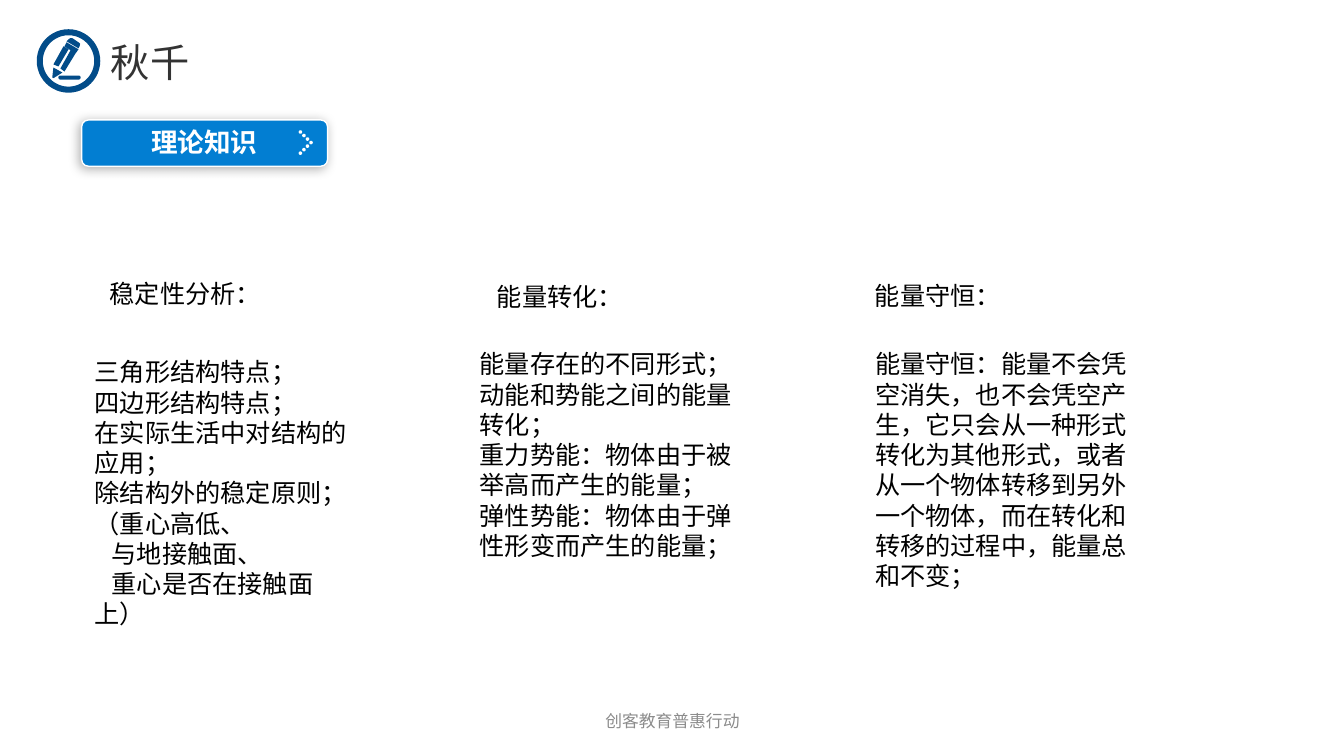
"""Build the swing theory slide with its badge, section button and three text columns."""
import dataclasses
import math

import lxml.etree
import pptx
import pptx.dml.color
import pptx.enum.shapes
import pptx.enum.text
import pptx.oxml.ns
import pptx.util


@dataclasses.dataclass(frozen=True)
class Theme:
    px: int = 9144
    navy: str = "024C89"
    blue: str = "027ED2"
    white: str = "FFFFFF"
    black: str = "000000"
    charcoal: str = "333333"
    gray: str = "8C8C8C"
    title_font: str = "Noto Sans CJK SC"
    body_font: str = "Calibri"
    title_size: int = 28
    button_size: int = 19
    body_size: int = 18
    footer_size: int = 12


def color(value):
    return pptx.dml.color.RGBColor.from_string(value)


def arc(x, y, radius, start=0, end=360, steps=48):
    angles = [math.radians(start + (end - start) * i / steps) for i in range(steps + 1)]
    return [(x + radius * math.cos(a), y + radius * math.sin(a)) for a in angles]


class SlidePainter:
    def __init__(self, theme, page):
        self.theme = theme
        self.page = page

    def lengths(self, *values):
        return [pptx.util.Emu(round(value * self.theme.px)) for value in values]

    def text(self, place, lines, size, ink, font=None, bold=False, insets=(10, 5),
             centered=False, middle=False, wrap=True, indents=None, parent=None):
        font = font or self.theme.body_font
        box = (parent or self.page).shapes.add_textbox(*self.lengths(*place))
        frame = box.text_frame
        frame.word_wrap = wrap
        frame.margin_left, frame.margin_top = self.lengths(*insets)
        frame.margin_right, frame.margin_bottom = self.lengths(*insets)
        if middle:
            frame.vertical_anchor = pptx.enum.text.MSO_ANCHOR.MIDDLE
        frame.text = "\n".join(lines)
        for number, para in enumerate(frame.paragraphs):
            if centered:
                para.alignment = pptx.enum.text.PP_ALIGN.CENTER
            if indents and number in indents:
                properties = para._p.get_or_add_pPr()
                properties.set("marL", "0")
                properties.set("indent", str(indents[number] * self.theme.px))
            for span in para.runs:
                span.font.size = pptx.util.Pt(size)
                span.font.name = font
                span.font.bold = bold
                span.font.color.rgb = color(ink)
                east_asian = lxml.etree.SubElement(span.font._element, pptx.oxml.ns.qn("a:ea"))
                east_asian.set("typeface", font)

    def outline(self, contours, fill, parent=None):
        scaled = [[self.lengths(*point) for point in contour] for contour in contours]
        builder = (parent or self.page).shapes.build_freeform(*scaled[0][0])
        for number, contour in enumerate(scaled):
            if number:
                builder.move_to(*contour[0])
            builder.add_line_segments(contour[1:], close=True)
        shape = builder.convert_to_shape()
        shape.shadow.inherit = False
        shape.fill.solid()
        shape.fill.fore_color.rgb = color(fill)
        shape.line.fill.background()

    def badge(self):
        x, y = 68, 60.5
        underline = arc(60, 77, 2, 90, 270, 12) + arc(78, 77, 2, -90, 90, 12)
        left_barrel = [(53, 64), (63, 46), (68, 49), (58, 66)]
        right_barrel = [(60, 68), (70, 50), (75, 53), (64, 71)]
        tip = [(53, 67), (62, 72), (54, 77), (53, 77.5), (52, 77), (52, 76)]
        ferrule = [(66, 42), (78, 49), (75, 53), (64, 46)]
        eraser = [(66, 41), (68, 39), (70, 37.75), (72, 38), (78, 42),
                  (79.5, 43.5), (79, 46), (78, 48)]
        ring = [arc(x, y, 31.5), arc(x, y, 25.5, 360, 0)]
        self.outline(ring + [underline, left_barrel, right_barrel, tip, ferrule, eraser],
                     self.theme.navy)

    def button(self, caption):
        group = self.page.shapes.add_group_shape()
        plate = group.shapes.add_shape(pptx.enum.shapes.MSO_SHAPE.ROUNDED_RECTANGLE,
                                       *self.lengths(81, 119, 244, 46))
        plate.adjustments[0] = 0.15
        plate.fill.solid()
        plate.fill.fore_color.rgb = color(self.theme.blue)
        plate.line.color.rgb = color(self.theme.white)
        plate.line.width = pptx.util.Pt(1)
        self.soft_shadow(plate)
        self.text((121, 125, 163, 33), [caption], self.theme.button_size, self.theme.white,
                  font=self.theme.title_font, bold=True, insets=(0, 0), centered=True,
                  parent=group)
        dots = [arc(298 + 3.5 * (3 - abs(i)), 141.5 + 3.5 * i, 1.75, steps=16)
                for i in range(-3, 4)]
        self.outline(dots, self.theme.white, parent=group)

    def soft_shadow(self, shape):
        shape.shadow.inherit = False
        qn = pptx.oxml.ns.qn
        effects = shape._element.spPr.find(qn("a:effectLst"))
        shadow = lxml.etree.SubElement(effects, qn("a:outerShdw"), blurRad=str(pptx.util.Pt(8)),
                                       dist=str(pptx.util.Pt(2)), dir="8100000", rotWithShape="0")
        tint = lxml.etree.SubElement(shadow, qn("a:srgbClr"), val=self.theme.black)
        lxml.etree.SubElement(tint, qn("a:alpha"), val="30000")


COLUMNS = [
    ((99, 271, 196, 40), "稳定性分析：", (84, 349, 273, 252),
     ["三角形结构特点；", "四边形结构特点；", "在实际生活中对结构的应用；",
      "除结构外的稳定原则；", "（重心高低、", "与地接触面、", "重心是否在接触面上）"],
     {5: 17, 6: 17}),
    ((483, 274, 201, 40), "能量转化：", (466, 341, 273, 252),
     ["能量存在的不同形式；", "动能和势能之间的能量转化；",
      "重力势能：物体由于被举高而产生的能量；", "弹性势能：物体由于弹性形变而产生的能量；"],
     None),
    ((858, 273, 206, 40), "能量守恒：", (858, 341, 279, 252),
     ["能量守恒：能量不会凭空消失，也不会凭空产生，它只会从一种形式转化为其他形式，"
      "或者从一个物体转移到另外一个物体，而在转化和转移的过程中，能量总和不变；"],
     None),
]


def main():
    theme = Theme()
    deck = pptx.Presentation()
    deck.slide_width = pptx.util.Inches(13.33)
    deck.slide_height = pptx.util.Inches(7.5)
    painter = SlidePainter(theme, deck.slides.add_slide(deck.slide_layouts[6]))
    painter.text((97, 31, 105, 61), ["秋千"], theme.title_size, theme.charcoal,
                 font=theme.title_font, insets=(13, 7), wrap=False)
    painter.badge()
    painter.button("理论知识")
    for heading_place, heading, body_place, lines, indents in COLUMNS:
        painter.text(heading_place, [heading], theme.body_size, theme.black)
        painter.text(body_place, lines, theme.body_size, theme.black, indents=indents)
    painter.text((442, 695, 450, 40), ["创客教育普惠行动"], theme.footer_size, theme.gray,
                 centered=True, middle=True)
    deck.save("out.pptx")


if __name__ == "__main__":
    main()
